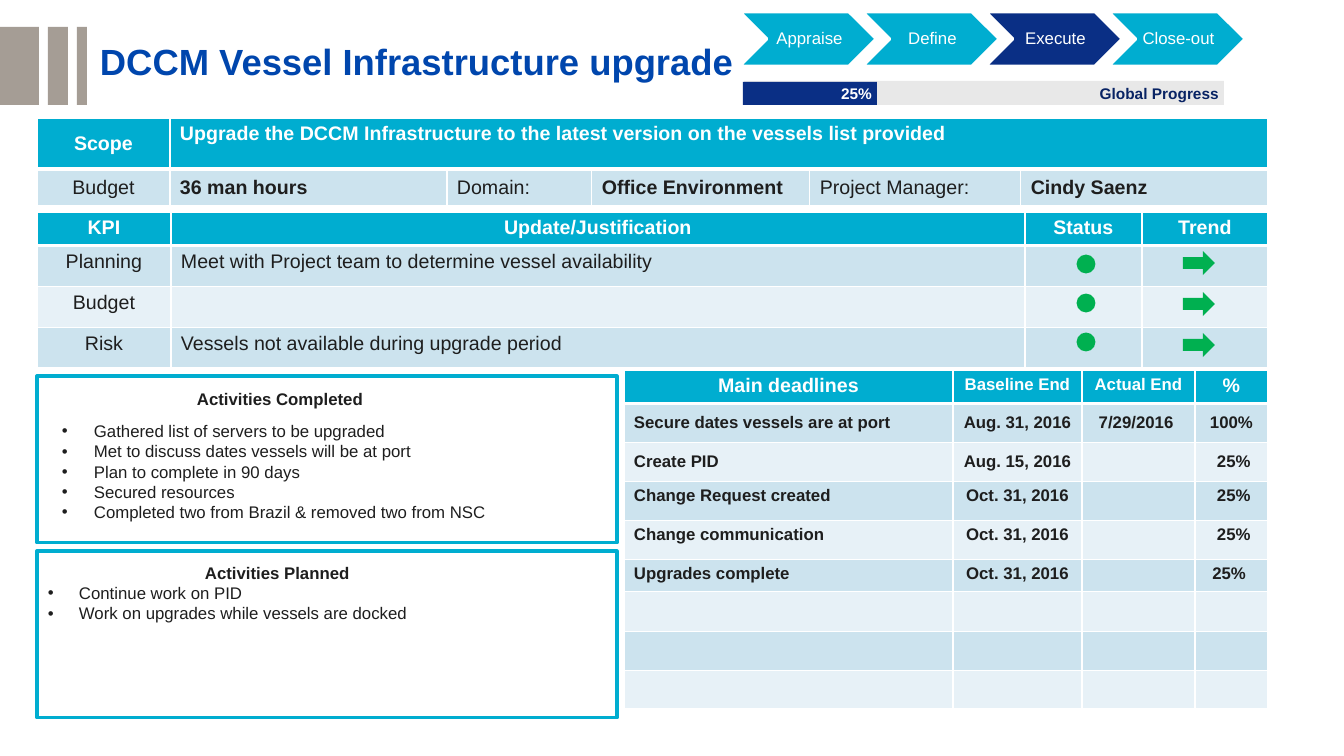
from lxml.etree import SubElement
from pptx import Presentation
from pptx.dml.color import RGBColor
from pptx.enum.shapes import MSO_SHAPE as Shape
from pptx.enum.text import MSO_ANCHOR as Anchor, PP_ALIGN as Align
from pptx.oxml.ns import qn
from pptx.util import Emu, Pt

WHITE = RGBColor(0xFF, 0xFF, 0xFF)
INK = RGBColor(0x1E, 0x1E, 0x1E)
CYAN = RGBColor(0x00, 0xAD, 0xD0)
NAVY = RGBColor(0x0A, 0x2F, 0x85)
DEEP_NAVY = RGBColor(0x08, 0x23, 0x64)
TITLE_BLUE = RGBColor(0x00, 0x46, 0xAD)
STONE = RGBColor(0xA5, 0x9D, 0x95)
GREY = RGBColor(0xE8, 0xE8, 0xE8)
GREEN = RGBColor(0x00, 0xB0, 0x50)
BANDS = RGBColor(0xE7, 0xF1, 0xF7), RGBColor(0xCC, 0xE3, 0xEE)


def px(length):
    return Emu(round(length * 914400 / 100.8))


class Board:
    FONT = "Arial"
    INSETS = (10, 5, 10, 5)

    def __init__(self, slide):
        self.slide = slide

    def fill_text(self, frame, lines, size=12, color=INK, bold=False, align=Align.LEFT,
                  anchor=Anchor.TOP, insets=INSETS, spacing=None, bullet_indent=0):
        """Fill a text frame with one paragraph per line; insets run left, top, right, bottom."""
        frame.margin_left, frame.margin_top, frame.margin_right, frame.margin_bottom = map(px, insets)
        frame.vertical_anchor = anchor
        for index, line in enumerate(lines):
            paragraph = frame.add_paragraph() if index else frame.paragraphs[0]
            paragraph.text = line
            paragraph.alignment = align
            if spacing:
                paragraph.line_spacing = spacing
            if bullet_indent:
                properties = paragraph._p.get_or_add_pPr()
                properties.set("marL", str(px(bullet_indent)))
                properties.set("indent", str(-px(bullet_indent)))
                SubElement(properties, qn("a:buFont"), typeface=self.FONT)
                SubElement(properties, qn("a:buChar"), char="•")
            font = paragraph.font
            font.name, font.size, font.bold = self.FONT, Pt(size), bold
            font.color.rgb = color

    def text(self, box, lines, **style):
        frame = self.slide.shapes.add_textbox(*map(px, box)).text_frame
        frame.word_wrap = True
        self.fill_text(frame, lines, **style)

    def shape(self, kind, box, fill, line=None, weight=2):
        shape = self.slide.shapes.add_shape(kind, *map(px, box))
        shape.shadow.inherit = False
        shape.fill.solid()
        shape.fill.fore_color.rgb = fill
        if line is None:
            shape.line.fill.background()
        else:
            shape.line.color.rgb = line
            shape.line.width = Pt(weight)
        return shape

    def labelled(self, kind, box, fill, label, line=None, **style):
        frame = self.shape(kind, box, fill, line).text_frame
        frame.word_wrap = False
        self.fill_text(frame, [label], anchor=Anchor.MIDDLE, **style)

    def border(self, cell, row):
        """White rules, with a thick one between the header and the first body row."""
        properties = cell._tc.get_or_add_tcPr()
        thick_side = {0: "lnB", 1: "lnT"}.get(row)
        for side in ("lnL", "lnR", "lnT", "lnB"):
            width = Pt(3 if side == thick_side else 1)
            rule = SubElement(properties, qn(f"a:{side}"), w=str(width))
            SubElement(SubElement(rule, qn("a:solidFill")), qn("a:srgbClr"), val=str(WHITE))

    def table(self, left, top, widths, heights, rows, style):
        """Draw a banded table; style(row, column) gives the text options of a cell."""
        box = left, top, sum(widths), sum(heights)
        table = self.slide.shapes.add_table(len(heights), len(widths), *map(px, box)).table
        table.first_row = table.horz_banding = False
        for column, width in zip(table.columns, widths):
            column.width = px(width)
        for r, (height, texts) in enumerate(zip(heights, rows)):
            table.rows[r].height = px(height)
            for c, content in enumerate(texts):
                cell = table.cell(r, c)
                self.border(cell, r)
                cell.fill.solid()
                cell.fill.fore_color.rgb = BANDS[r % 2] if r else CYAN
                options = style(r, c)
                anchor = options.pop("anchor", Anchor.TOP)
                self.fill_text(cell.text_frame, [content], color=INK if r else WHITE, **options)
                cell.vertical_anchor = anchor
                cell.margin_left, cell.margin_top, cell.margin_right, cell.margin_bottom = map(px, self.INSETS)
        return table


def scope_style(row, column):
    return dict(size=14, bold=column % 2 == 1 or row == 0,
                align=Align.LEFT if column else Align.CENTER,
                anchor=Anchor.TOP if (row, column) == (0, 1) else Anchor.MIDDLE)


def kpi_style(row, column):
    return dict(size=14, bold=row == 0,
                align=Align.LEFT if row and column == 1 else Align.CENTER)


def deadline_style(row, column):
    return dict(size=14 if row == 0 and column in (0, 3) else 12, bold=True,
                align=Align.LEFT if row and column == 0 else Align.CENTER,
                anchor=Anchor.MIDDLE if row in (1, 2) else Anchor.TOP)


SCOPE_ROWS = [
    ["Scope", "Upgrade the DCCM Infrastructure to the latest version on the vessels list provided",
     "", "", "", ""],
    ["Budget", "36 man hours", "Domain:", "Office Environment", "Project Manager:", "Cindy Saenz"],
]
KPI_ROWS = [
    ["KPI", "Update/Justification", "Status", "Trend"],
    ["Planning", "Meet with Project team to determine vessel availability", "", ""],
    ["Budget", "", "", ""],
    ["Risk", "Vessels not available during upgrade period", "", ""],
]
DEADLINE_ROWS = [
    ["Main deadlines", "Baseline End", "Actual End", "%"],
    ["Secure dates vessels are at port", "Aug. 31, 2016", "7/29/2016 ", "100%"],
    ["Create PID", "Aug. 15, 2016", "", " 25%"],
    ["Change Request created", "Oct. 31, 2016", "", " 25%"],
    ["Change communication", "Oct. 31, 2016", "", " 25%"],
    ["Upgrades complete", "Oct. 31, 2016", "", "25% "],
] + [[""] * 4] * 3
COMPLETED = [
    "Gathered list of servers to be upgraded",
    "Met to discuss dates vessels will be at port",
    "Plan to complete in 90 days",
    "Secured resources",
    "Completed two from Brazil & removed two from NSC",
]
PLANNED = ["Continue work on PID", "Work on upgrades while vessels are docked"]


def main():
    deck = Presentation()
    deck.slide_width, deck.slide_height = px(1344), px(756)
    board = Board(deck.slides.add_slide(deck.slide_layouts[6]))

    for left, width in ((0, 39), (48, 20), (77, 10)):
        board.shape(Shape.RECTANGLE, (left, 27, width, 78), STONE)
    board.text((100, 25, 1145, 77), ["DCCM Vessel Infrastructure upgrade"], size=26, bold=True,
               color=TITLE_BLUE, anchor=Anchor.MIDDLE, insets=(0, 0, 0, 0), spacing=0.9)

    for index, phase in enumerate(("Appraise", "Define", "Execute", "Close-out")):
        board.labelled(Shape.CHEVRON, (740 + 123 * index, 12, 136, 54),
                       NAVY if phase == "Execute" else CYAN, phase, line=WHITE, color=WHITE,
                       align=Align.CENTER, insets=(5, 2, 2, 2), spacing=0.9)
    progress_style = dict(size=11, bold=True, align=Align.RIGHT, insets=(5, 0, 5, 0))
    board.labelled(Shape.RECTANGLE, (744, 81, 480, 24), GREY, "Global Progress",
                   color=DEEP_NAVY, **progress_style)
    board.labelled(Shape.RECTANGLE, (743, 82, 134, 23), NAVY, "25%", color=WHITE, **progress_style)

    scope = board.table(37, 118, (133, 277, 145, 218, 211, 247), (51, 37), SCOPE_ROWS, scope_style)
    scope.cell(0, 1).merge(scope.cell(0, 5))
    board.table(37, 212, (134, 854, 117, 126), (33, 41, 41, 40), KPI_ROWS, kpi_style)
    for kpi in range(3):
        board.shape(Shape.OVAL, (1078, 256 + 39 * kpi, 16, 16), GREEN, GREEN)
        board.shape(Shape.RIGHT_ARROW, (1183, 251 + 41 * kpi, 32, 24), GREEN)

    for top in (376, 551):
        board.shape(Shape.RECTANGLE, (37, top, 580, 167), WHITE, CYAN, 2.25)
    board.text((187, 384, 270, 30), ["Activities Completed"], bold=True)
    board.text((195, 558, 270, 30), ["Activities Planned"], bold=True)
    board.text((52, 416, 539, 112), COMPLETED, bullet_indent=32)
    board.text((38, 578, 579, 140), PLANNED, bullet_indent=31)

    board.table(624, 370, (329, 129, 113, 73), (33, 39, 39, 39, 39, 32, 40, 39, 38),
                DEADLINE_ROWS, deadline_style)
    deck.save("out.pptx")


if __name__ == "__main__":
    main()
